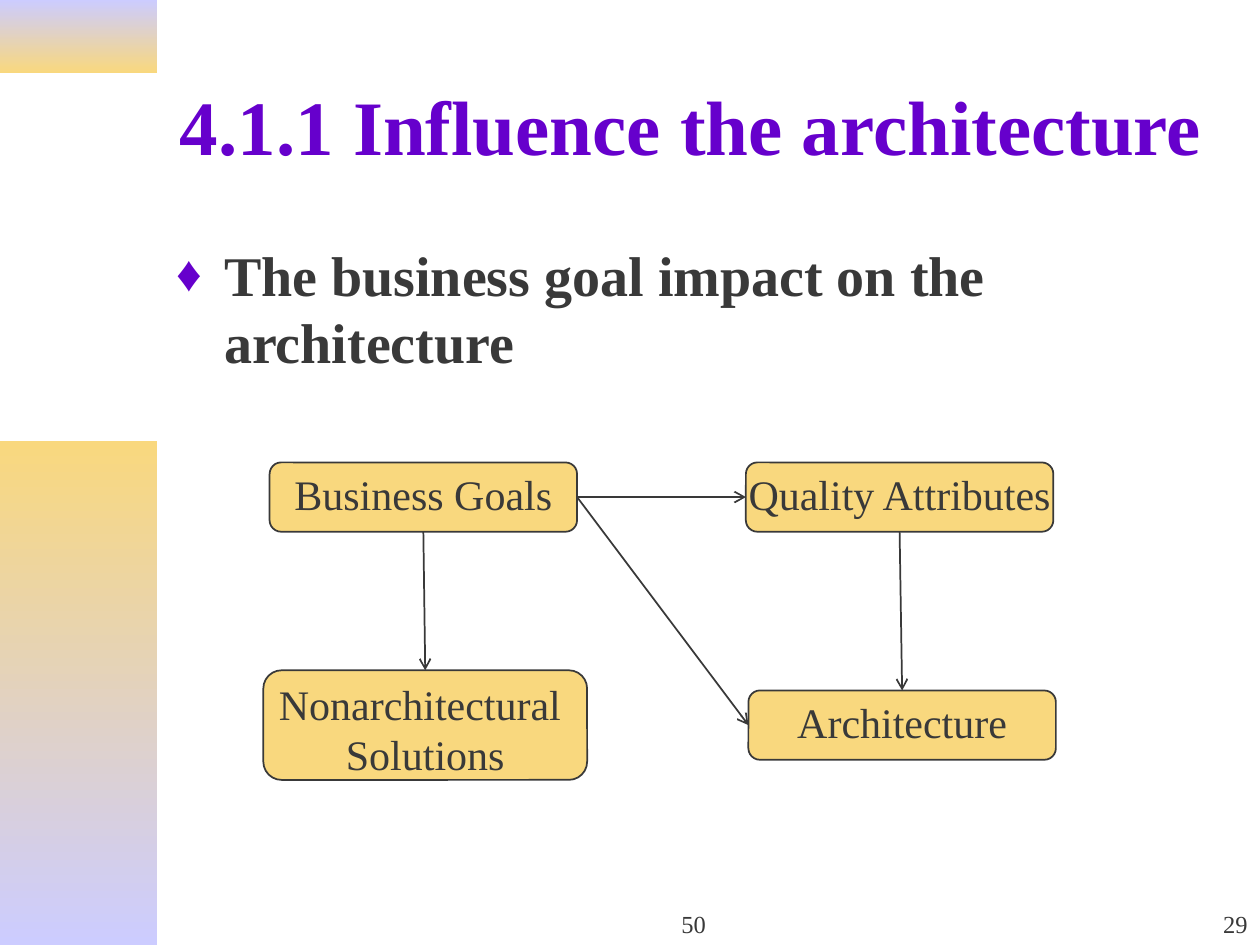
"""Build the slide on how business goals influence the architecture."""
from dataclasses import dataclass

from lxml import etree
from pptx import Presentation, util as u
from pptx.dml.color import RGBColor
from pptx.enum import shapes, text
from pptx.oxml import ns


@dataclass(frozen=True)
class Theme:
    """Colours, font and type sizes of the slide."""
    font: str = "Times New Roman"
    purple: RGBColor = RGBColor(0x66, 0x00, 0xCC)
    ink: RGBColor = RGBColor(0x39, 0x39, 0x39)
    gold: RGBColor = RGBColor(0xF9, 0xD8, 0x7E)
    lavender: RGBColor = RGBColor(0xCC, 0xCC, 0xFF)
    title: int = 44
    body: int = 32
    label: int = 24
    number: int = 14


THEME = Theme()
TOP, LEFT, BOTTOM, RIGHT = range(4)


def inches(*values):
    """Turn numbers into lengths."""
    return [u.Inches(value) for value in values]


def style_paragraph(paragraph, size, color, bold=False, align=text.PP_ALIGN.LEFT):
    """Set the font and alignment of a paragraph."""
    paragraph.alignment = align
    font = paragraph.font
    font.name, font.size, font.bold = THEME.font, u.Pt(size), bold
    font.color.rgb = color


def add_bullet(paragraph, character, indent):
    """Give a paragraph a coloured bullet and a hanging indent."""
    properties = paragraph._p.get_or_add_pPr()
    properties.set("marL", str(u.Inches(indent)))
    properties.set("indent", str(-u.Inches(indent)))
    color = etree.SubElement(properties, ns.qn("a:buClr"))
    etree.SubElement(color, ns.qn("a:srgbClr"), val=str(THEME.purple))
    etree.SubElement(properties, ns.qn("a:buSzPct"), val="90000")
    etree.SubElement(properties, ns.qn("a:buFont"), typeface=THEME.font)
    etree.SubElement(properties, ns.qn("a:buChar"), char=character)


def add_text(slide, place, words, anchor, size, color, bullet=None, **style):
    """Add a wrapped text box with one paragraph."""
    frame = slide.shapes.add_textbox(*inches(*place)).text_frame
    frame.word_wrap = True
    frame.vertical_anchor = anchor
    paragraph = frame.paragraphs[0]
    paragraph.text = words
    if bullet:
        add_bullet(paragraph, bullet, 0.38)
    style_paragraph(paragraph, size, color, **style)


def add_band(slide, top, height, colors):
    """Add a side band that shades from top to bottom."""
    band = slide.shapes.add_shape(
        shapes.MSO_SHAPE.RECTANGLE, *inches(0, top, 1.25, height))
    band.shadow.inherit = False
    band.line.fill.background()
    band.fill.gradient()
    band.fill.gradient_angle = 270
    for stop, color in zip(band.fill.gradient_stops, colors):
        stop.color.rgb = color


def add_box(slide, place, words):
    """Add a rounded box with centred lines of text."""
    box = slide.shapes.add_shape(
        shapes.MSO_SHAPE.ROUNDED_RECTANGLE, *inches(*place))
    box.shadow.inherit = False
    box.fill.solid()
    box.fill.fore_color.rgb = THEME.gold
    box.line.color.rgb = THEME.ink
    box.line.width = u.Pt(1)
    frame = box.text_frame
    frame.word_wrap = False
    frame.vertical_anchor = text.MSO_ANCHOR.TOP
    frame.margin_top = u.Inches(0.02)
    frame.text = words
    for paragraph in frame.paragraphs:
        style_paragraph(paragraph, THEME.label, THEME.ink, align=text.PP_ALIGN.CENTER)
    return box


def add_arrow(slide, source, source_side, target, target_side):
    """Connect two boxes with an open arrow."""
    arrow = slide.shapes.add_connector(shapes.MSO_CONNECTOR.STRAIGHT, 0, 0, 0, 0)
    arrow.begin_connect(source, source_side)
    arrow.end_connect(target, target_side)
    arrow.line.color.rgb = THEME.ink
    arrow.line.width = u.Pt(1)
    etree.SubElement(arrow.line._get_or_add_ln(), ns.qn("a:tailEnd"), type="arrow")
    etree.SubElement(arrow._element.spPr, ns.qn("a:effectLst"))


def add_diagram(slide):
    """Add the four boxes and the arrows between them."""
    goals = add_box(slide, (2.14, 3.67, 2.44, 0.55), "Business Goals")
    qualities = add_box(slide, (5.92, 3.67, 2.44, 0.55), "Quality Attributes")
    solutions = add_box(slide, (2.09, 5.32, 2.57, 0.87), "Nonarchitectural \nSolutions")
    architecture = add_box(slide, (5.94, 5.48, 2.44, 0.55), "Architecture")
    add_arrow(slide, goals, RIGHT, qualities, LEFT)
    add_arrow(slide, goals, RIGHT, architecture, LEFT)
    add_arrow(slide, qualities, BOTTOM, architecture, TOP)
    add_arrow(slide, goals, BOTTOM, solutions, TOP)


def main():
    """Build and save the slide."""
    presentation = Presentation()
    presentation.slide_width, presentation.slide_height = inches(10, 7.5)
    slide = presentation.slides.add_slide(presentation.slide_layouts[6])
    add_band(slide, 0, 0.58, (THEME.lavender, THEME.gold))
    add_band(slide, 3.5, 4, (THEME.gold, THEME.lavender))
    add_text(slide, (1.33, 0.33, 8.5, 1.32), "4.1.1 Influence the architecture",
             text.MSO_ANCHOR.MIDDLE, THEME.title, THEME.purple, bold=True)
    add_text(slide, (1.3, 1.86, 7.64, 1.5),
             "The business goal impact on the architecture",
             text.MSO_ANCHOR.TOP, THEME.body, THEME.ink, bullet="♦", bold=True)
    add_text(slide, (3.92, 7, 3.17, 0.5), "50", text.MSO_ANCHOR.BOTTOM,
             THEME.number, THEME.ink, align=text.PP_ALIGN.CENTER)
    add_text(slide, (7.92, 7, 2.08, 0.5), "29", text.MSO_ANCHOR.BOTTOM,
             THEME.number, THEME.ink, align=text.PP_ALIGN.RIGHT)
    add_diagram(slide)
    presentation.save("out.pptx")


if __name__ == "__main__":
    main()
